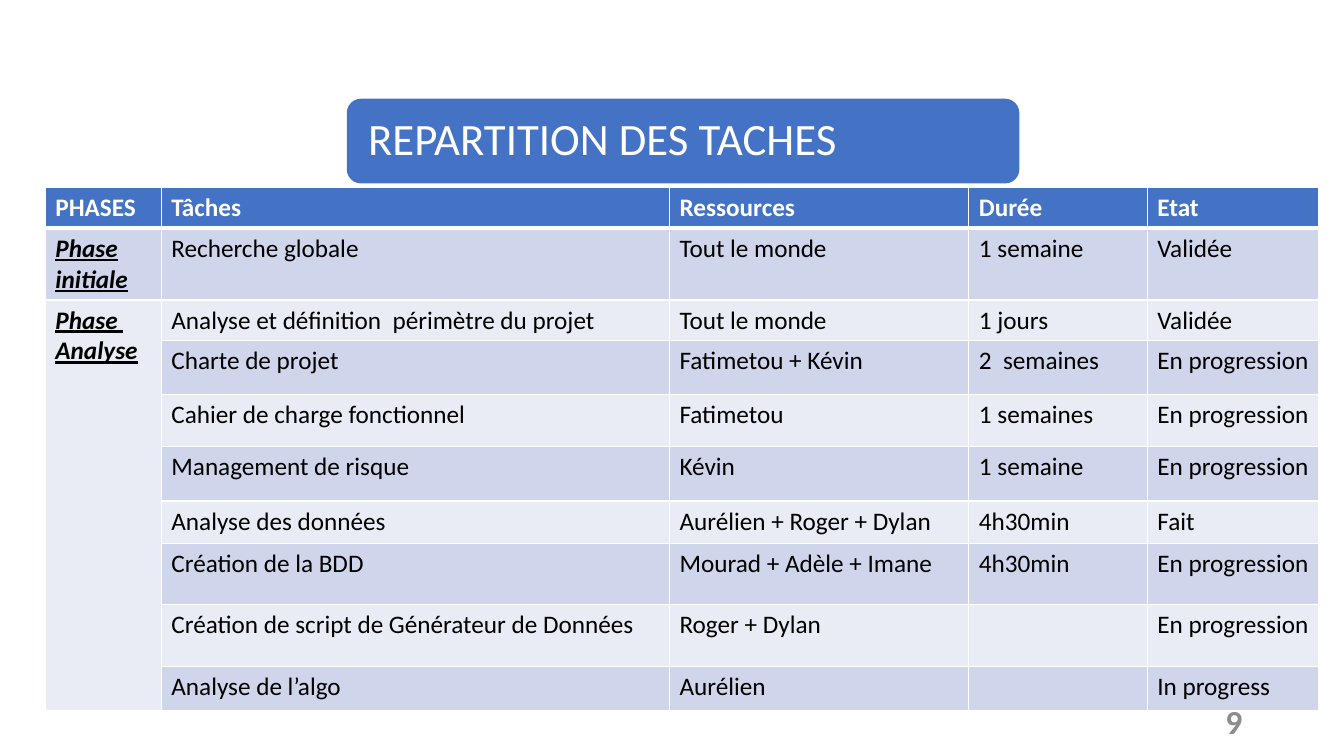
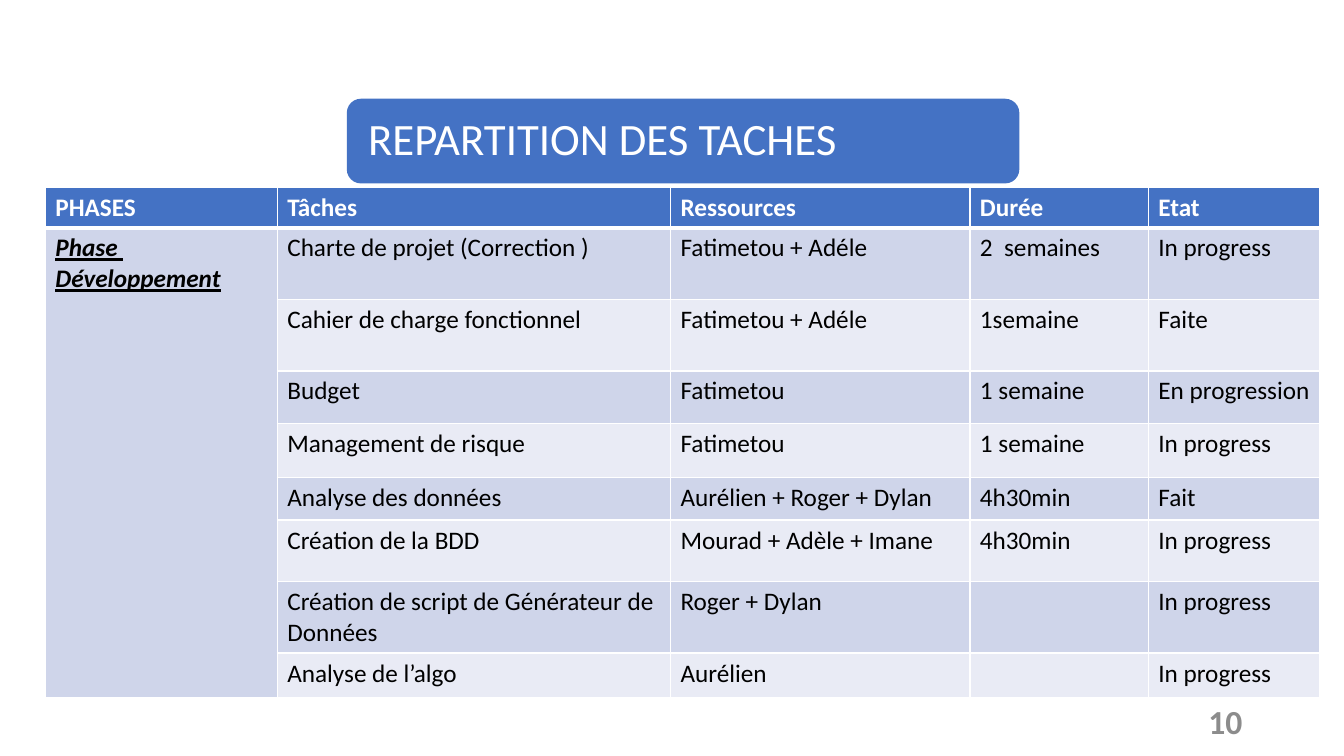
from dataclasses import dataclass

from lxml.etree import SubElement
from pptx import Presentation
from pptx.dml.color import RGBColor
from pptx.enum.shapes import MSO_SHAPE
from pptx.enum.text import MSO_ANCHOR, PP_ALIGN
from pptx.oxml import parse_xml
from pptx.oxml.ns import nsdecls, qn
from pptx.util import Inches, Pt

# Shared look
FONT = "Calibri"
BLUE = "4472C4"
WHITE = "FFFFFF"
BLACK = "000000"
GREY = "8C8C8C"
BANDS = ("CFD5EA", "E9EBF5")
TITLE = "REPARTITION DES TACHES"
HEADINGS = ("PHASES", "Tâches", "Ressources", "Durée", "Etat")
HEADER_HEIGHT = 0.4
THIN, THICK = 1, 3


@dataclass(frozen=True)
class Task:
    name: str
    resources: str
    duration: str
    state: str
    height: float


@dataclass(frozen=True)
class Phase:
    name: str
    tasks: tuple[Task, ...]


@dataclass(frozen=True)
class Plan:
    page: int
    column_widths: tuple[float, ...]
    phases: tuple[Phase, ...]


# Tasks that both plans list with the same wording
DATA_ANALYSIS = Task("Analyse des données", "Aurélien + Roger + Dylan", "4h30min", "Fait", 0.42)
ALGORITHM = Task("Analyse de l’algo", "Aurélien", "", "In progress", 0.44)


def database(state: str) -> Task:
    return Task("Création de la BDD", "Mourad + Adèle + Imane", "4h30min", state, 0.61)


def generator(state: str, height: float) -> Task:
    return Task("Création de script de Générateur de Données", "Roger + Dylan", "", state, height)


PLANS = (
    Plan(9, (1.15, 5.04, 2.97, 1.77, 1.7), (
        Phase("Phase initiale", (
            Task("Recherche globale", "Tout le monde", "1 semaine", "Validée", 0.71),
        )),
        Phase("Phase \nAnalyse", (
            Task("Analyse et définition  périmètre du projet", "Tout le monde",
                 "1 jours", "Validée", 0.4),
            Task("Charte de projet", "Fatimetou + Kévin", "2  semaines", "En progression", 0.53),
            Task("Cahier de charge fonctionnel", "Fatimetou", "1 semaines", "En progression", 0.52),
            Task("Management de risque", "Kévin", "1 semaine", "En progression", 0.54),
            DATA_ANALYSIS,
            database("En progression"),
            generator("En progression", 0.61),
            ALGORITHM,
        )),
    )),
    Plan(10, (2.3, 3.9, 2.97, 1.77, 1.7), (
        Phase("Phase \nDéveloppement", (
            Task("Charte de projet (Correction )", "Fatimetou + Adéle",
                 "2  semaines", "In progress", 0.71),
            Task("Cahier de charge fonctionnel", "Fatimetou + Adéle", "1semaine", "Faite", 0.71),
            Task("Budget", "Fatimetou", "1 semaine", "En progression", 0.52),
            Task("Management de risque", "Fatimetou", "1 semaine", "In progress", 0.54),
            DATA_ANALYSIS,
            database("In progress"),
            generator("In progress", 0.71),
            ALGORITHM,
        )),
    )),
)


def paint(target, color: str) -> None:
    """Give a shape or a table cell a solid fill."""
    target.fill.solid()
    target.fill.fore_color.rgb = RGBColor.from_string(color)


def write(frame, text: str, size: float, color: str, bold: bool = False,
          emphasis: bool = False) -> None:
    frame.text = text
    for paragraph in frame.paragraphs:
        for font in (paragraph.font, *(run.font for run in paragraph.runs)):
            font.name, font.size, font.bold = FONT, Pt(size), bold
            font.italic = font.underline = emphasis
            font.color.rgb = RGBColor.from_string(color)


def set_borders(cell, top: int, bottom: int) -> None:
    properties = cell._tc.get_or_add_tcPr()
    widths = {"lnL": THIN, "lnR": THIN, "lnT": top, "lnB": bottom}
    for position, (side, width) in enumerate(widths.items()):
        line = parse_xml(
            f'<a:{side} {nsdecls("a")} w="{Pt(width)}"><a:solidFill>'
            f'<a:srgbClr val="{WHITE}"/></a:solidFill></a:{side}>')
        properties.insert(position, line)


def style_cell(cell, text: str, row: int, fill: str, heading: bool, phase: bool) -> None:
    write(cell.text_frame, text, 18, WHITE if heading else BLACK,
          bold=heading or phase, emphasis=phase)
    paint(cell, fill)
    set_borders(cell, THICK if row == 1 else THIN, THICK if row == 0 else THIN)


def add_title(slide) -> None:
    banner = slide.shapes.add_shape(
        MSO_SHAPE.ROUNDED_RECTANGLE, Inches(3.44), Inches(0.98), Inches(6.67), Inches(0.84))
    banner.shadow.inherit = False
    paint(banner, BLUE)
    banner.line.fill.background()
    frame = banner.text_frame
    frame.word_wrap = True
    frame.vertical_anchor = MSO_ANCHOR.MIDDLE
    frame.margin_left = frame.margin_right = Inches(0.17)
    write(frame, TITLE, 32, WHITE)
    paragraph = frame.paragraphs[0]
    paragraph.alignment = PP_ALIGN.LEFT
    paragraph.line_spacing = 0.9
    spacing = SubElement(paragraph._p.get_or_add_pPr(), qn("a:spcAft"))
    SubElement(spacing, qn("a:spcPct")).set("val", "35000")
    # Spacing must directly follow the line spacing
    paragraph._p.pPr.insert(1, spacing)


def add_plan_table(slide, plan: Plan) -> None:
    heights = [HEADER_HEIGHT] + [task.height for phase in plan.phases for task in phase.tasks]
    table = slide.shapes.add_table(
        len(heights), len(HEADINGS), Inches(0.45), Inches(1.86),
        Inches(sum(plan.column_widths)), Inches(sum(heights))).table
    for column, width in zip(table.columns, plan.column_widths):
        column.width = Inches(width)
    for table_row, height in zip(table.rows, heights):
        table_row.height = Inches(height)

    # Header row
    for column, heading in enumerate(HEADINGS):
        style_cell(table.cell(0, column), heading, 0, BLUE, heading=True, phase=False)

    # One banded row per task, one merged first cell per phase
    row = 1
    for phase in plan.phases:
        first = row
        for task in phase.tasks:
            texts = (phase.name if row == first else "",
                     task.name, task.resources, task.duration, task.state)
            for column, text in enumerate(texts):
                band = first if column == 0 else row
                style_cell(table.cell(row, column), text, row, BANDS[(band - 1) % 2],
                           heading=False, phase=column == 0)
            row += 1
        if row - first > 1:
            table.cell(first, 0).merge(table.cell(row - 1, 0))


def add_page_number(slide, page: int) -> None:
    number = slide.shapes.add_textbox(Inches(9.42), Inches(6.95), Inches(3), Inches(0.4))
    frame = number.text_frame
    frame.word_wrap = True
    frame.vertical_anchor = MSO_ANCHOR.MIDDLE
    write(frame, str(page), 24, GREY, bold=True)
    frame.paragraphs[0].alignment = PP_ALIGN.RIGHT


def main() -> None:
    deck = Presentation()
    deck.slide_width, deck.slide_height = Inches(13.33), Inches(7.5)
    for plan in PLANS:
        slide = deck.slides.add_slide(deck.slide_layouts[6])
        add_title(slide)
        add_plan_table(slide, plan)
        add_page_number(slide, plan.page)
    deck.save("out.pptx")


if __name__ == "__main__":
    main()
